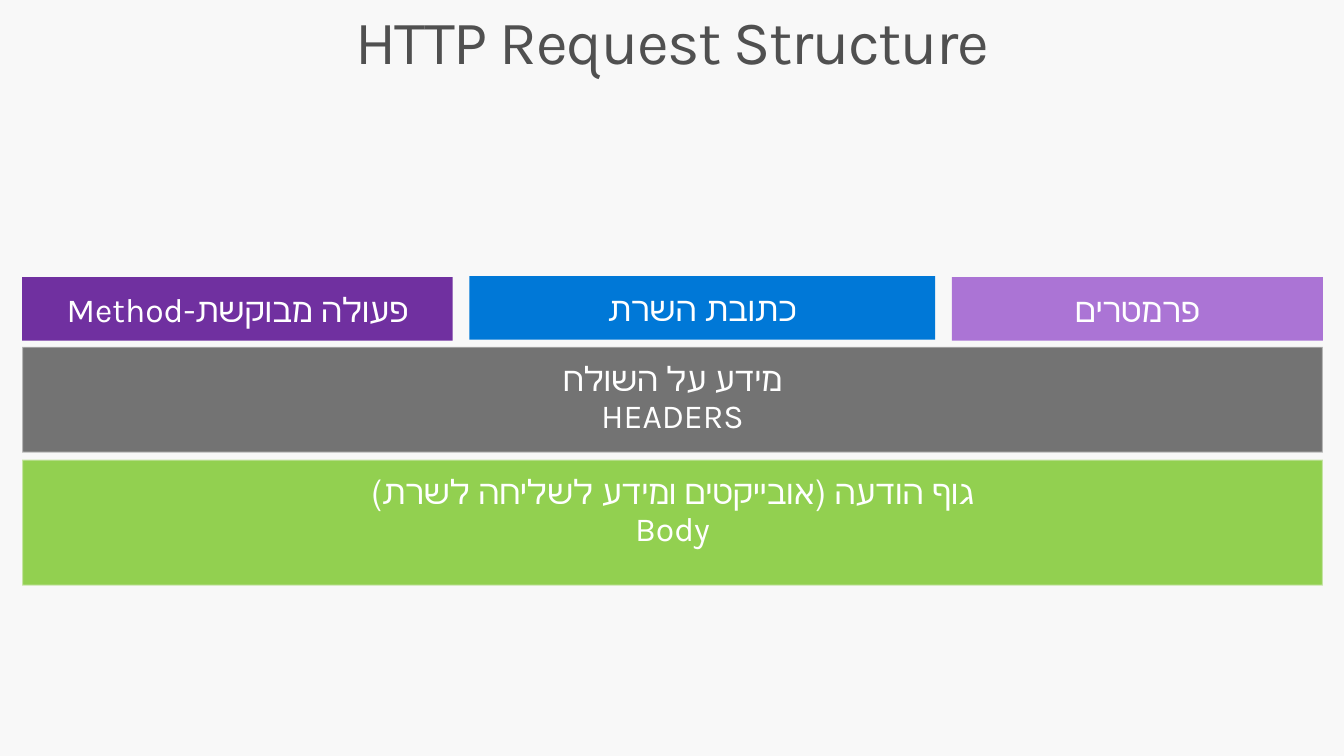
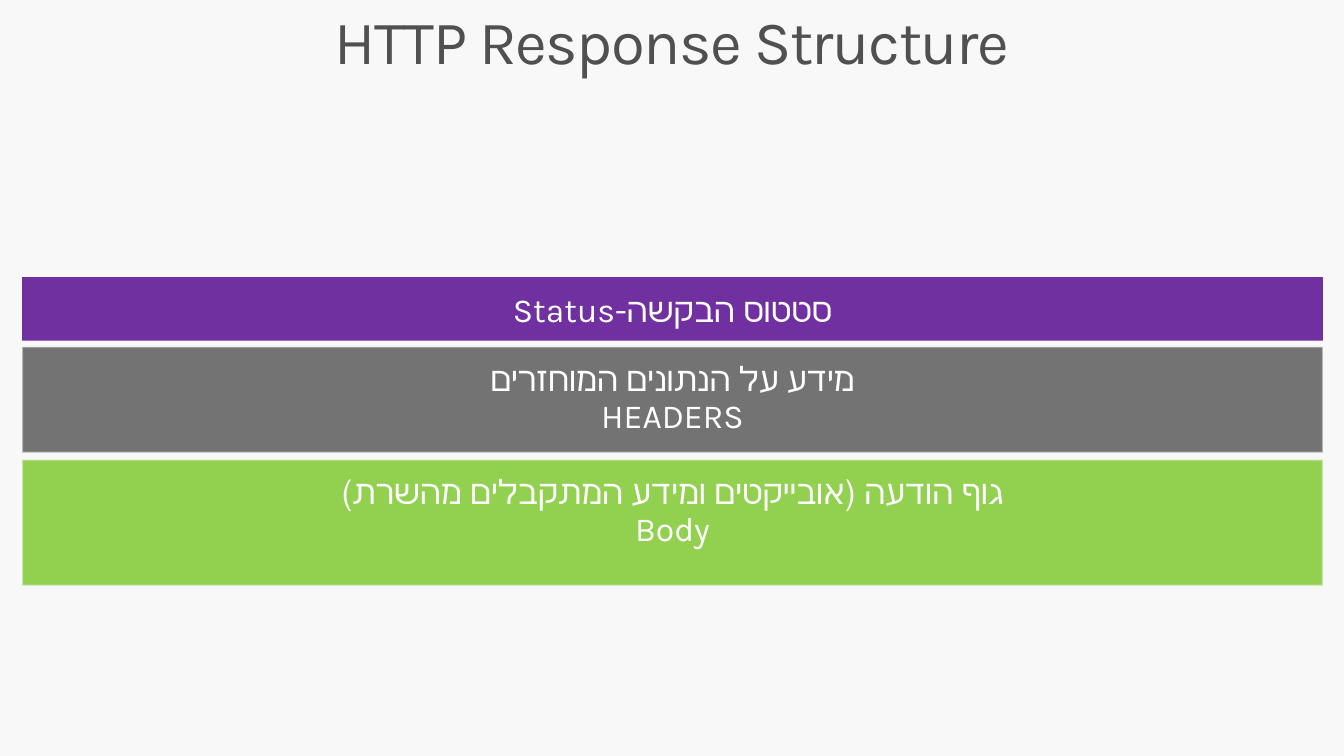
from lxml import etree
from pptx import Presentation
from pptx.dml.color import RGBColor
from pptx.enum.shapes import MSO_SHAPE as SHAPE
from pptx.enum.text import MSO_ANCHOR as ANCHOR, MSO_AUTO_SIZE as AUTO_SIZE, PP_ALIGN as ALIGN
from pptx.oxml.ns import qn
from pptx.util import Inches, Pt

COLORS = {
    "background": "F8F8F8",
    "title": "505050",
    "text": "FFFFFF",
    "outline": "F9F9F9",
    "purple": "7030A0",
    "blue": "0078D7",
    "lilac": "AB74D5",
    "gray": "737373",
    "green": "92D050",
}
FONT = "Karla"
LEFT, FULL_WIDTH = 0.22, 12.9
FRAME = {"word_wrap": True, "auto_size": AUTO_SIZE.NONE, "vertical_anchor": ANCHOR.TOP}
TITLE_FRAME = FRAME | {
    "margin_left": Inches(0.16), "margin_right": Inches(0.16),
    "margin_top": Inches(0.1), "margin_bottom": Inches(0.1),
}
BLOCK_FRAME = FRAME | {
    "margin_left": Inches(0.2), "margin_right": Inches(0.2),
    "margin_top": Inches(0.16), "margin_bottom": Inches(0.16),
}

# Each first-row part: text, colour, top, width
MESSAGES = [
    {
        "title": "HTTP Request Structure",
        "first_row": [
            ("Method-פעולה מבוקשת", "purple", 2.75, 4.27),
            ("כתובת השרת", "blue", 2.74, 4.62),
            ("פרמטרים", "lilac", 2.75, 3.68),
        ],
        "headers": "מידע על השולח\nHEADERS",
        "body": "גוף הודעה (אובייקטים ומידע לשליחה לשרת)\nBody",
    },
    {
        "title": "HTTP Response Structure",
        "first_row": [("Status-סטטוס הבקשה", "purple", 2.75, FULL_WIDTH)],
        "headers": "מידע על הנתונים המוחזרים\nHEADERS",
        "body": "גוף הודעה (אובייקטים ומידע המתקבלים מהשרת)\nBody",
    },
]


def write_text(frame, text, size, color):
    """Fill a text frame with centred lines in the deck font."""
    frame.text = text
    for paragraph in frame.paragraphs:
        paragraph.alignment = ALIGN.CENTER
        paragraph.line_spacing = 0.9
        for run in paragraph.runs:
            run.font.name = FONT
            run.font.size = Pt(size)
            run.font.color.rgb = RGBColor.from_string(COLORS[color])


def add_block(slide, text, color, left, top, width, height, outlined=False):
    block = slide.shapes.add_shape(
        SHAPE.RECTANGLE, Inches(left), Inches(top), Inches(width), Inches(height))
    block.shadow.inherit = False
    block.fill.solid()
    block.fill.fore_color.rgb = RGBColor.from_string(COLORS[color])
    if outlined:
        block.line.width = Pt(1.35)
        block.line.color.rgb = RGBColor.from_string(COLORS["outline"])
        outline_color = block.line._ln.find(".//" + qn("a:srgbClr"))
        etree.SubElement(outline_color, qn("a:alpha"), val="50000")
    else:
        block.line.fill.background()
    for attribute, value in BLOCK_FRAME.items():
        setattr(block.text_frame, attribute, value)
    write_text(block.text_frame, text, 24, "text")


prs = Presentation()
prs.slide_width, prs.slide_height = Inches(13.33), Inches(7.5)

background = prs.slide_master.background.fill
background.solid()
background.fore_color.rgb = RGBColor.from_string(COLORS["background"])

title_only = prs.slide_layouts[5]
layout_title = title_only.placeholders[0]
layout_title.left, layout_title.top = Inches(0), Inches(0.01)
layout_title.width, layout_title.height = prs.slide_width, Inches(0.98)
for attribute, value in TITLE_FRAME.items():
    setattr(layout_title.text_frame, attribute, value)

for message in MESSAGES:
    slide = prs.slides.add_slide(title_only)
    title_frame = slide.shapes.title.text_frame
    write_text(title_frame, message["title"], 44, "title")
    title_frame.paragraphs[0].runs[0].font._element.set("spc", "-100")

    parts = message["first_row"]
    used_width = sum(width for *_, width in parts)
    gap = (FULL_WIDTH - used_width) / max(len(parts) - 1, 1)
    left = LEFT
    for text, color, top, width in parts:
        add_block(slide, text, color, left, top, width, 0.63)
        left += width + gap

    add_block(slide, message["headers"], "gray", LEFT, 3.44, FULL_WIDTH, 1.05, outlined=True)
    add_block(slide, message["body"], "green", LEFT, 4.56, FULL_WIDTH, 1.25, outlined=True)

prs.save("out.pptx")
